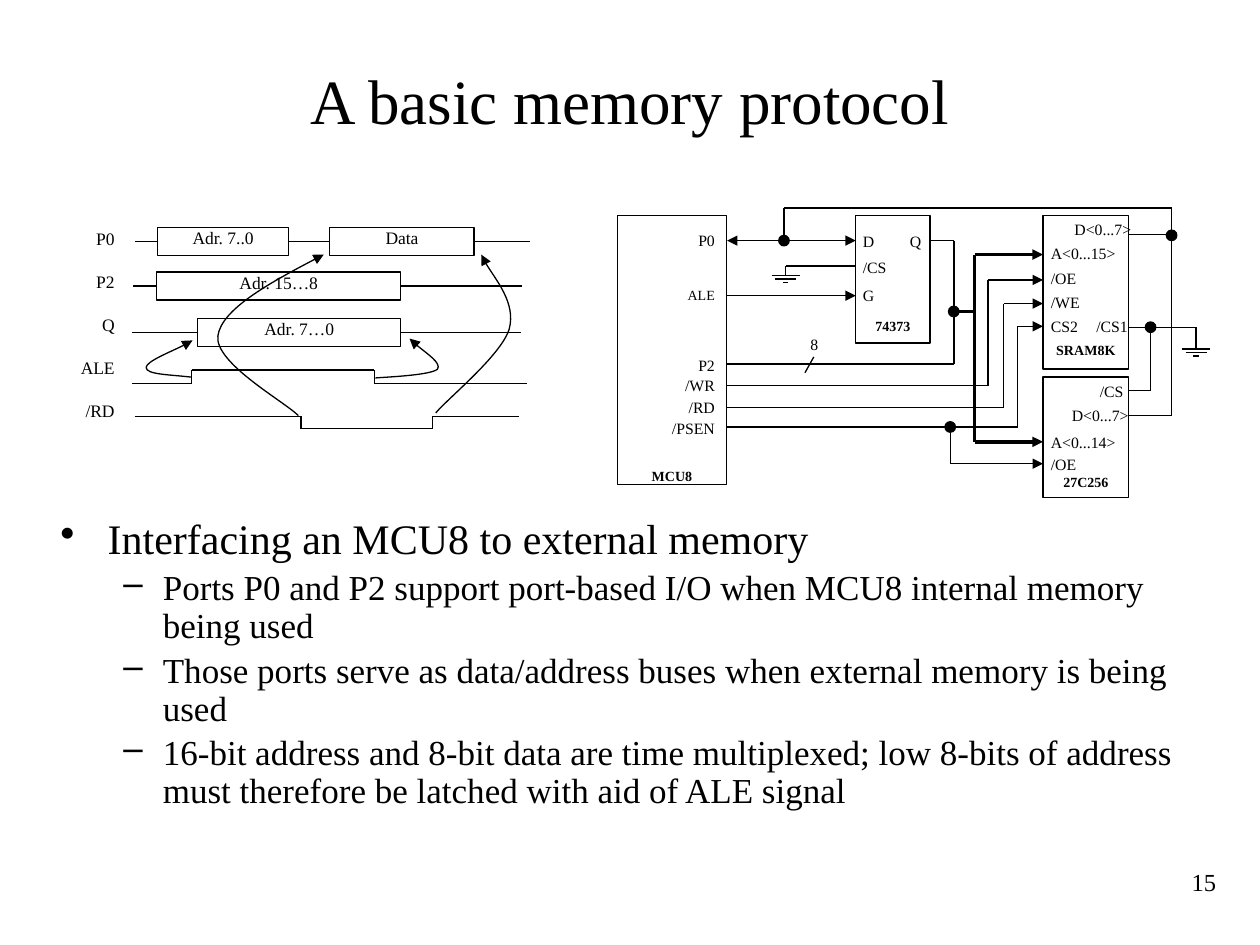
from itertools import pairwise

from lxml.etree import SubElement
from pptx import Presentation
from pptx.dml.color import RGBColor
from pptx.enum.shapes import MSO_CONNECTOR, MSO_SHAPE
from pptx.enum.text import MSO_ANCHOR, PP_ALIGN
from pptx.oxml.ns import qn
from pptx.util import Pt

BLACK, WHITE = "000000", "FFFFFF"
LEFT, CENTER, RIGHT = PP_ALIGN.LEFT, PP_ALIGN.CENTER, PP_ALIGN.RIGHT


def color(value):
    """Turn a hex string into a colour."""
    return RGBColor.from_string(value)


def add_text(frame, text, size, align=LEFT, bold=False, first=True):
    """Write one paragraph into a text frame and return it."""
    para = frame.paragraphs[0] if first else frame.add_paragraph()
    para.alignment = align
    span = para.add_run()
    span.text = text
    span.font.name = "Times New Roman"
    span.font.size = Pt(size)
    span.font.bold = bold
    span.font.color.rgb = color(BLACK)
    return para


def set_frame(frame, anchor=MSO_ANCHOR.TOP, side=0, top=0, bottom=0):
    """Set wrapping, anchor and insets of a text frame."""
    frame.word_wrap = True
    frame.vertical_anchor = anchor
    frame.margin_left = frame.margin_right = Pt(side)
    frame.margin_top, frame.margin_bottom = Pt(top), Pt(bottom)


def add_box(page, x, y, width, height, **layout):
    """Add an empty text box and return its frame."""
    box = page.shapes.add_textbox(Pt(x), Pt(y), Pt(width), Pt(height))
    set_frame(box.text_frame, **layout)
    return box.text_frame


def add_solid(page, kind, x, y, width, height, fill):
    """Add a filled preset shape with a thin black outline."""
    shape = page.shapes.add_shape(kind, Pt(x), Pt(y), Pt(width), Pt(height))
    shape.shadow.inherit = False
    shape.fill.solid()
    shape.fill.fore_color.rgb = color(fill)
    shape.line.color.rgb = color(BLACK)
    shape.line.width = Pt(0.75)
    return shape


def style_line(shape, width=0.75, head=False, tail=False):
    """Make a line black and give it arrowheads where asked."""
    shape.line.color.rgb = color(BLACK)
    shape.line.width = Pt(width)
    outline = shape.line._get_or_add_ln()
    for wanted, tag in ((head, "a:headEnd"), (tail, "a:tailEnd")):
        if wanted:
            SubElement(outline, qn(tag), type="triangle")


def add_wire(page, points, width=0.75, head=False, tail=False):
    """Draw a chain of straight connectors and return them."""
    links = []
    last = len(points) - 2
    for index, (start, end) in enumerate(pairwise(points)):
        link = page.shapes.add_connector(MSO_CONNECTOR.STRAIGHT, *map(Pt, start + end))
        style_line(link, width, head and index == 0, tail and index == last)
        SubElement(link._element.spPr, qn("a:effectLst"))
        links.append(link)
    return links


def add_curve(page, points):
    """Draw an arrow along cubic curves given by start and control points."""
    start, *rest = [(Pt(x), Pt(y)) for x, y in points]
    builder = page.shapes.build_freeform(*start)
    builder.add_line_segments(rest, close=False)
    curve = builder.convert_to_shape()
    curve.shadow.inherit = False
    curve.fill.background()
    style_line(curve, tail=True)
    route = next(curve._element.iter(qn("a:path")))
    steps = route.findall(qn("a:lnTo"))
    for index in range(0, len(steps), 3):
        bend = SubElement(route, qn("a:cubicBezTo"))
        for step in steps[index:index + 3]:
            bend.append(step[0])
            route.remove(step)


def add_signal(page, middle, start, end, fields):
    """Draw a bus signal: fields joined by leads on one row."""
    boxes = []
    for text, x, width in fields:
        box = add_solid(page, MSO_SHAPE.RECTANGLE, x, middle - 8, width, 16, WHITE)
        set_frame(box.text_frame)
        add_text(box.text_frame, text, 10, CENTER)
        boxes.append(box)
    for before, after in pairwise([None, *boxes, None]):
        link = add_wire(page, [(start, middle), (end, middle)])[0]
        if before:
            link.begin_connect(before, 3)
        if after:
            link.end_connect(after, 1)
        if not before:
            link.begin_x = Pt(start)


def add_chip(page, name, x, y, width, height, gap):
    """Draw a chip with its name above the lower edge."""
    chip = add_solid(page, MSO_SHAPE.RECTANGLE, x, y, width, height, WHITE)
    set_frame(chip.text_frame, MSO_ANCHOR.BOTTOM, bottom=gap)
    add_text(chip.text_frame, name, 8, CENTER, bold=True)


def add_pins(page, x, width, pins, align=LEFT):
    """Write a column of pin names."""
    for text, y in pins:
        size = 8 if text == "ALE" else 9
        add_text(add_box(page, x, y, width, 12), text, size, align)


def add_ground(page, x, y):
    """Draw the bars of a ground symbol."""
    for index, half in enumerate((8, 6, 1.5)):
        level = y + 2 * index
        add_wire(page, [(x - half, level), (x + half, level)])


def add_timing(page):
    """Draw the timing diagram."""
    names = add_box(page, 26, 130.5, 39.5, 126)
    for index, text in enumerate(("P0", "P2", "Q", "ALE", "/RD")):
        add_text(names, text, 10, RIGHT, first=index == 0).space_after = Pt(12.5)
    add_signal(page, 138, 77, 303, [("Adr. 7..0", 90, 75), ("Data", 188.5, 82.5)])
    add_signal(page, 163.5, 76, 298.5, [("Adr. 15…8", 89.5, 139.5)])
    add_signal(page, 190, 75.5, 298, [("Adr. 7…0", 113, 116)])
    for start, fall, rise, end, low, high in (
        (75.5, 109.5, 214, 301, 219, 211.5),
        (77, 172, 247, 296.5, 238, 245),
    ):
        add_wire(page, [(start, low), (fall, low), (fall, high),
                        (rise, high), (rise, low), (end, low)])
    for points in (
        [(109.5, 215.5), (96.5, 214), (83.5, 214), (83.5, 210), (83.5, 206.5), (105, 198), (110, 194.5)],
        [(170.5, 237.5), (162.5, 229.5), (122.5, 207.5), (124.5, 192), (126.5, 177), (156, 160.5), (185, 145.5)],
        [(214.5, 216), (220.5, 215.5), (246, 214.5), (250, 211), (252.5, 207.5), (237.5, 197.5), (234, 193.5)],
        [(249, 236), (255.5, 228), (286.5, 203), (291, 188), (295, 173), (278.5, 154), (275, 145.5)],
    ):
        add_curve(page, points)


def add_schematic(page):
    """Draw the chips, their wiring and pin names."""
    add_chip(page, "MCU8", 353, 123, 62, 154, 0)
    add_chip(page, "74373", 489, 123, 42.5, 73, 5)
    add_chip(page, "SRAM8K", 596, 123, 49, 88, 6)
    add_chip(page, "27C256", 596, 215.5, 49, 69, 4.5)
    add_wire(page, [(415.5, 137.5), (489, 137.5)], 1, head=True, tail=True)
    add_wire(page, [(532, 137.5), (545, 137.5), (545, 208), (415.5, 208)], 1)
    add_wire(page, [(645, 134), (669.5, 134)], 1)
    add_wire(page, [(645, 237.5), (669.5, 237.5), (669.5, 119), (448, 119), (448, 137.5)], 1)
    add_wire(page, [(545, 178), (557, 178)], 2)
    add_wire(page, [(596, 145.5), (557, 145.5), (557, 252.5), (596, 252.5)], 2, head=True, tail=True)
    add_wire(page, [(415.5, 169), (489, 169)], tail=True)
    for level, turn, target in ((220.5, 564.5, 160), (233, 573.5, 173.5), (244, 581.5, 186.5)):
        add_wire(page, [(415.5, level), (turn, level), (turn, target), (596, target)], tail=True)
    add_wire(page, [(543, 244), (543, 265), (596, 265)], tail=True)
    add_wire(page, [(645, 223), (657.5, 223), (657.5, 187)])
    add_wire(page, [(460, 213), (465, 204)])
    for start, x, y, ground in ((489, 449, 152, 157.5), (645, 683.5, 187, 199.5)):
        add_wire(page, [(start, y), (x, y), (x, ground)])
        add_ground(page, x, ground)
    add_pins(page, 363.5, 45, [("P0", 132), ("ALE", 163.5), ("P2", 203), ("/WR", 214.5),
                               ("/RD", 227), ("/PSEN", 239)], RIGHT)
    add_pins(page, 493, 18, [("D", 132.5), ("/CS", 147), ("G", 163.5)])
    add_pins(page, 520, 13, [("Q", 132.5)])
    add_pins(page, 463, 9.5, [("8", 191.5)])
    add_pins(page, 600.5, 41, [("A<0...15>", 139.5), ("/OE", 153.5), ("/WE", 167), ("CS2", 181),
                               ("A<0...14>", 247), ("/OE", 260)])
    add_pins(page, 614, 36, [("D<0...7>", 125.5)])
    add_pins(page, 612.5, 36, [("D<0...7>", 232)])
    add_pins(page, 626.5, 20, [("/CS1", 181)])
    add_pins(page, 628.5, 18, [("/CS", 218)])
    for x, y in ((448, 137.5), (545, 178), (669.5, 134.5), (657.5, 187), (543, 244)):
        add_solid(page, MSO_SHAPE.OVAL, x - 3, y - 3, 6, 6, BLACK)


def add_bullets(page):
    """Write the bulleted list."""
    frame = add_box(page, 27.5, 292.5, 659.5, 181.5, side=7.2, top=3.6, bottom=3.6)
    for index, text in enumerate((
        "Interfacing an MCU8 to external memory",
        "Ports P0 and P2 support port-based I/O when MCU8 internal memory being used",
        "Those ports serve as data/address buses when external memory is being used",
        "16-bit address and 8-bit data are time multiplexed; low 8-bits of address "
        "must therefore be latched with aid of ALE signal",
    )):
        level = min(index, 1)
        size, margin, hang, mark = ((24, 27, 27, "•"), (20, 58.5, 22.5, "–"))[level]
        para = add_text(frame, text, size, first=index == 0)
        para.level, para.line_spacing, para.space_before = level, 0.9, Pt(size / 5)
        layout = para._p.get_or_add_pPr()
        layout.set("marL", str(Pt(margin)))
        layout.set("indent", str(-Pt(hang)))
        SubElement(layout, qn("a:buChar"), char=mark)


def main():
    """Build and save the slide."""
    deck = Presentation()
    deck.slide_width, deck.slide_height = Pt(720), Pt(540)
    page = deck.slides.add_slide(deck.slide_layouts[6])
    add_text(add_box(page, 630, 492, 72, 36, side=7.2, top=3.6), "15", 14, RIGHT)
    title = add_box(page, 30, 12, 660, 90, anchor=MSO_ANCHOR.MIDDLE, top=3.6, bottom=3.6)
    add_text(title, "A basic memory protocol", 36, CENTER)
    add_bullets(page)
    add_timing(page)
    add_schematic(page)
    deck.save("out.pptx")


if __name__ == "__main__":
    main()
